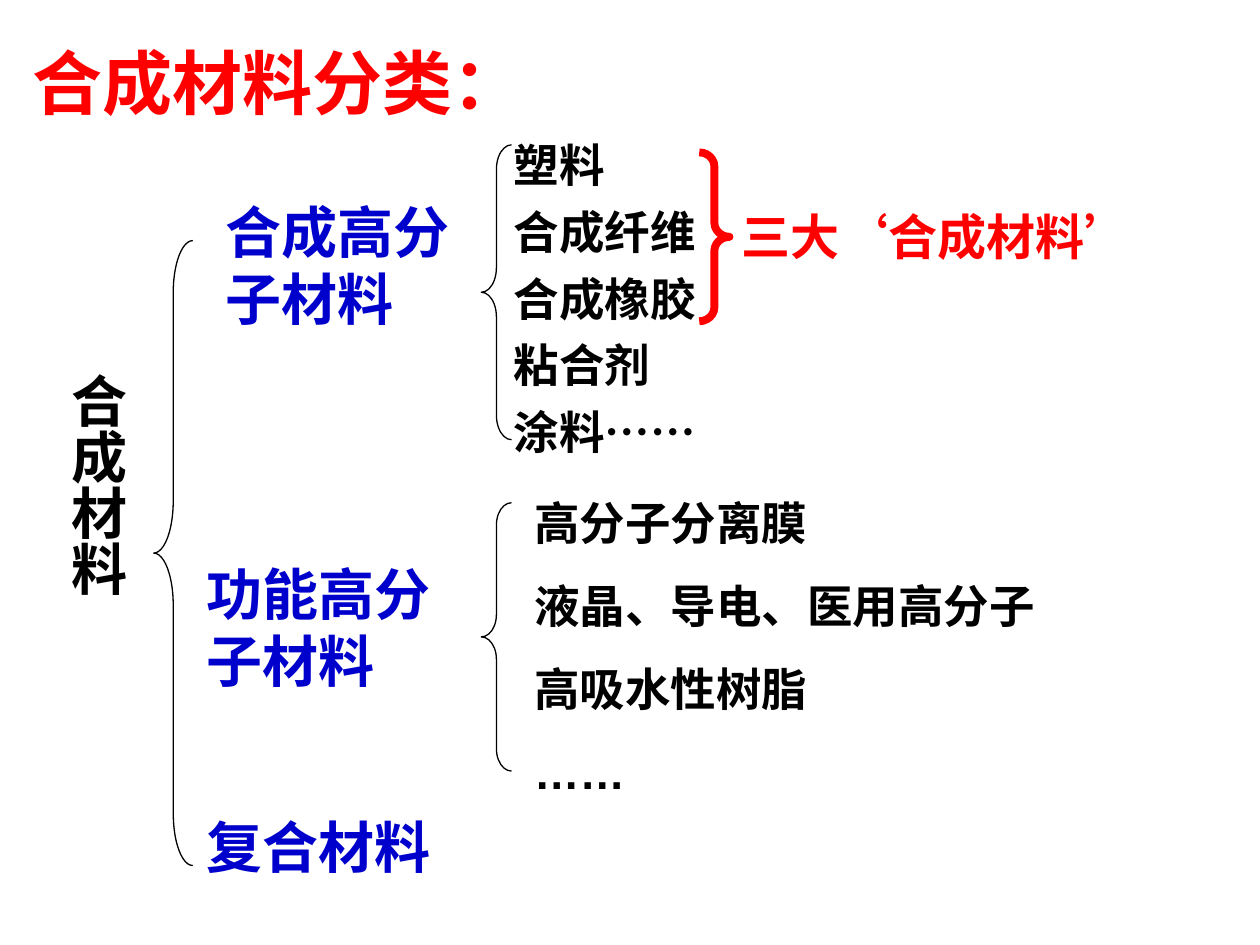
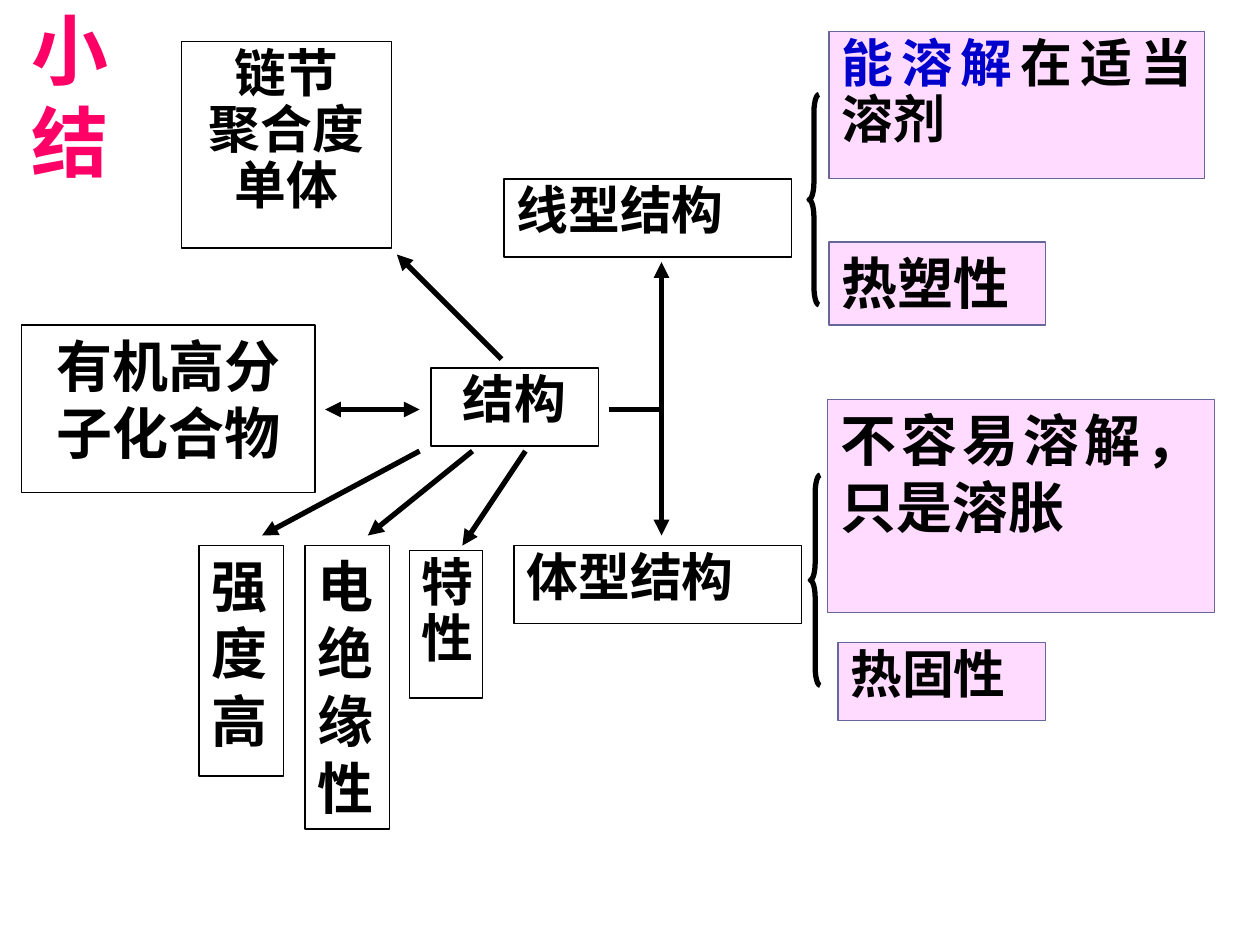
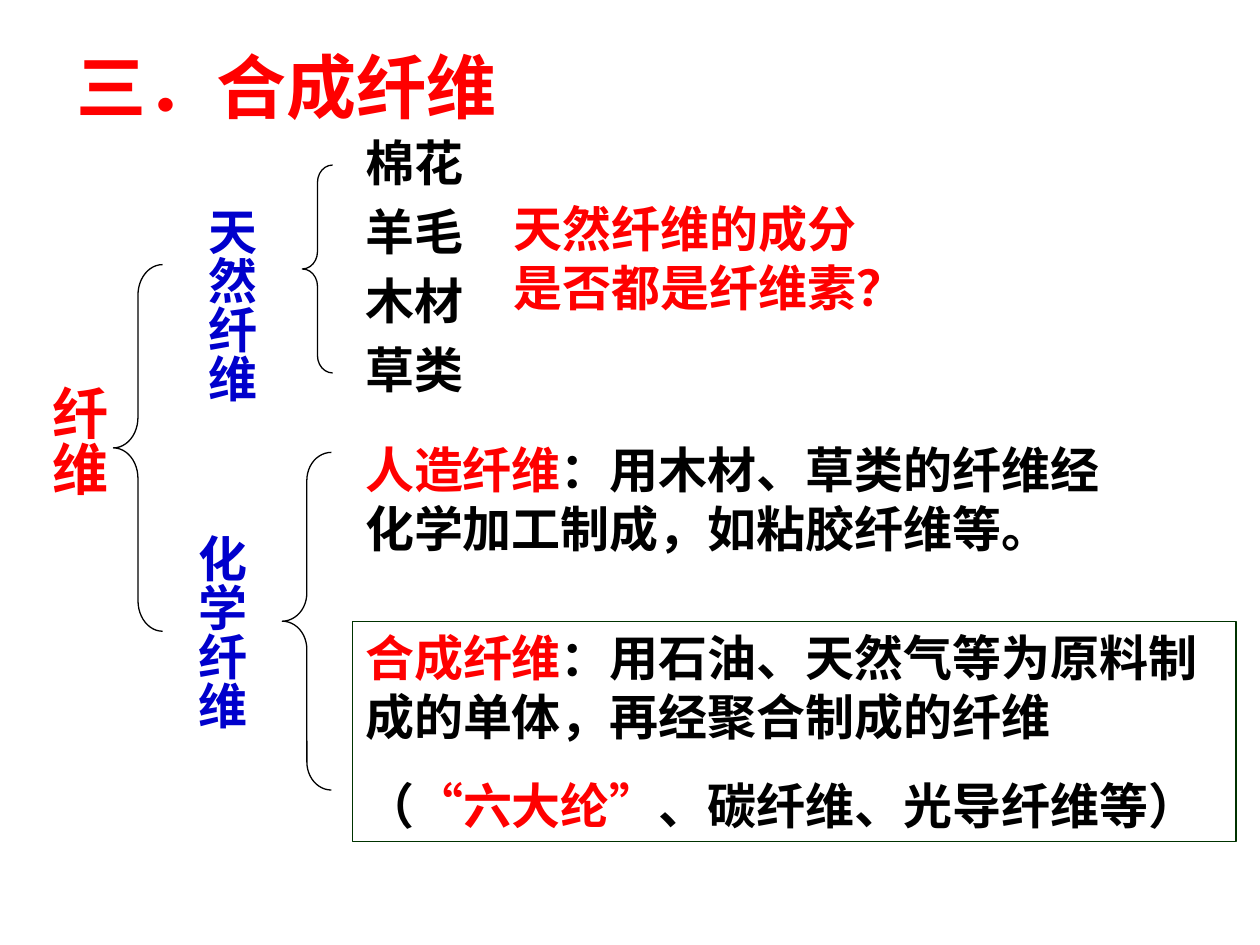
from lxml import etree
from pptx import Presentation
from pptx.dml.color import RGBColor
from pptx.enum import shapes, text
from pptx.oxml import ns
from pptx.util import Inches, Pt

COLORS = {
    "black": "000000", "red": "FF0000", "blue": "0000CC", "rose": "FF0066",
    "pink": "FFCCFF", "slate": "666699", "green": "003300",
}
CJK_FONT = "Noto Sans CJK SC"
ALIGN = {"left": text.PP_ALIGN.LEFT, "center": text.PP_ALIGN.CENTER,
         "justify": text.PP_ALIGN.JUSTIFY}
TITLE = dict(size=40, color="red", font="Montserrat", anchor=text.MSO_ANCHOR.BOTTOM,
             inset=(0.1, 0))


def add_text(slide, box, paragraphs, size=28, color="black", font="Arial", align="left",
             spacing=1.0, before=0, line=None, fill=None, vertical=False,
             anchor=text.MSO_ANCHOR.TOP, inset=(0.1, 0.05)):
    """Each paragraph is a string or a list of (text, color) runs."""
    box = [Inches(value) for value in box]
    if line:
        shape = slide.shapes.add_shape(shapes.MSO_SHAPE.RECTANGLE, *box)
        shape.shadow.inherit = False
        shape.line.color.rgb = RGBColor.from_string(COLORS[line])
        shape.line.width = Pt(0.75)
        shape.fill.background()
    else:
        shape = slide.shapes.add_textbox(*box)
    if fill:
        shape.fill.solid()
        shape.fill.fore_color.rgb = RGBColor.from_string(COLORS[fill])
        fill_color = shape.fill._xPr.find(".//" + ns.qn("a:srgbClr"))
        etree.SubElement(fill_color, ns.qn("a:alpha"), val="67000")
    frame = shape.text_frame
    frame.word_wrap = True
    frame.vertical_anchor = anchor
    if vertical:
        frame._txBody.bodyPr.set("vert", "eaVert")
        inset, align = (0.05, 0.1), "center"
    frame.margin_left = frame.margin_right = Inches(inset[0])
    frame.margin_top = frame.margin_bottom = Inches(inset[1])
    for index, content in enumerate(paragraphs):
        paragraph = frame.add_paragraph() if index else frame.paragraphs[0]
        paragraph.alignment = ALIGN[align]
        paragraph.line_spacing = spacing
        if index and before:
            paragraph.space_before = Pt(before)
        runs = [(content, color)] if isinstance(content, str) else content
        for words, run_color in runs:
            run = paragraph.add_run()
            run.text = words
            run.font.size = Pt(size)
            run.font.bold = True
            run.font.name = font
            run.font.color.rgb = RGBColor.from_string(COLORS[run_color])
            etree.SubElement(run.font._element, ns.qn("a:ea"), typeface=CJK_FONT)


def add_brace(slide, left, top, width, height, color="black", weight=0.75,
              kind=shapes.MSO_SHAPE.LEFT_BRACE):
    shape = slide.shapes.add_shape(kind, Inches(left), Inches(top),
                                   Inches(width), Inches(height))
    shape.shadow.inherit = False
    shape.fill.background()
    shape.line.color.rgb = RGBColor.from_string(COLORS[color])
    shape.line.width = Pt(weight)
    shape.adjustments[0] = height / width / 12  # curves span a twelfth of the height


presentation = Presentation()
presentation.slide_width = Inches(10)
presentation.slide_height = Inches(7.5)
blank = presentation.slide_layouts[6]

# Slide 1: classes of synthetic materials
slide = presentation.slides.add_slide(blank)
add_text(slide, (0.16, 0.21, 4.69, 0.77), ["合成材料分类："], **TITLE)
add_text(slide, (0.36, 2.86, 0.73, 2.68), ["合成材料"], size=32, vertical=True)
for left, top, width, height, label in [
    (1.69, 1.52, 2.05, 1.17, "合成高分子材料"),
    (1.54, 4.39, 2.11, 1.17, "功能高分子材料"),
    (1.54, 6.4, 2.11, 0.64, "复合材料"),
]:
    add_text(slide, (left, top, width, height), [label], size=32, color="blue")
for brace in [(1.22, 1.91, 0.31, 4.96), (3.82, 1.15, 0.24, 2.34), (3.82, 3.99, 0.24, 2.13)]:
    add_brace(slide, *brace)
add_text(slide, (3.98, 1.16, 3.54, 2.52),
         ["塑料", "合成纤维", "合成橡胶", "粘合剂", "涂料……"],
         size=26, spacing=0.7, before=16.2)
add_text(slide, (4.14, 3.88, 5.43, 2.51),
         ["高分子分离膜", "液晶、导电、医用高分子", "高吸水性树脂", "……"],
         size=26, before=16.2)
add_brace(slide, 5.55, 1.21, 0.24, 1.34, color="red", weight=4.5,
          kind=shapes.MSO_SHAPE.RIGHT_BRACE)
add_text(slide, (5.79, 1.59, 3.86, 0.57), ["三大‘合成材料’"], color="red")

# Slide 2: summary map
slide = presentation.slides.add_slide(blank)
large = dict(size=32, font=CJK_FONT)
compact = dict(size=29.6, font=CJK_FONT, spacing=0.9)
plain = dict(line="black")
tinted = dict(line="slate", fill="pink")
for box, content, style, frame_style, align in [
    ((0.17, 2.58, 2.33, 1.33), ["有机高分子化合物"], large, plain, "center"),
    ((1.44, 0.33, 1.67, 1.64), ["链节", "聚合度", "单体"], compact, plain, "center"),
    ((3.42, 2.92, 1.33, 0.62), ["结构"], compact, plain, "center"),
    ((4, 1.42, 2.28, 0.62), ["线型结构"], compact, plain, "justify"),
    ((4.08, 4.33, 2.28, 0.62), ["体型结构"], compact, plain, "justify"),
    ((1.58, 4.33, 0.67, 1.83), ["强度高"], large, plain, "justify"),
    ((2.42, 4.33, 0.67, 2.25), ["电绝缘性"], large, plain, "justify"),
    ((3.25, 4.37, 0.58, 1.17), ["特性"], compact, plain, "justify"),
    ((6.58, 0.25, 2.98, 1.17), [[("能溶解", "blue"), ("在适当溶剂", "black")]],
     compact, tinted, "justify"),
    ((6.58, 1.92, 1.72, 0.66), ["热塑性"], large, tinted, "justify"),
    ((6.57, 3.17, 3.07, 1.69), ["不容易溶解，只是溶胀"], large, tinted, "justify"),
    ((6.65, 5.1, 1.65, 0.62), ["热固性"], compact, tinted, "justify"),
]:
    add_text(slide, box, content, align=align, **style, **frame_style)

# Links between the boxes, with the ends that carry an arrowhead
for start_x, start_y, end_x, end_y, ends in [
    (2.58, 3.25, 3.33, 3.25, ["headEnd", "tailEnd"]),
    (3.15, 2.02, 3.98, 2.85, ["headEnd"]),
    (4.83, 3.25, 5.25, 3.25, []),
    (5.25, 2.08, 5.25, 4.25, ["headEnd", "tailEnd"]),
    (3.33, 3.58, 2.08, 4.25, ["tailEnd"]),
    (3.75, 3.58, 2.92, 4.25, ["tailEnd"]),
    (4.17, 3.58, 3.67, 4.33, ["tailEnd"]),
]:
    connector = slide.shapes.add_connector(
        shapes.MSO_CONNECTOR.STRAIGHT, Inches(start_x), Inches(start_y),
        Inches(end_x), Inches(end_y))
    connector.line.color.rgb = RGBColor.from_string(COLORS["black"])
    connector.line.width = Pt(3)
    for end in ends:
        etree.SubElement(connector.line._ln, ns.qn("a:" + end), type="triangle")
    etree.SubElement(connector._element.spPr, ns.qn("a:effectLst"))

for left, top in [(6.42, 0.75), (6.43, 3.77)]:
    add_brace(slide, left, top, 0.08, 1.67, weight=3)
add_text(slide, (0.15, -0.03, 0.75, 1.57), ["小结"], size=44, color="rose")

# Slide 3: synthetic fibres
slide = presentation.slides.add_slide(blank)
add_text(slide, (0.51, 0.24, 9, 0.77), ["三．合成纤维"], **TITLE)
add_text(slide, (0.21, 2.96, 0.73, 2.44), ["纤维"], size=32, color="red", vertical=True)
add_text(slide, (1.46, 1.55, 0.66, 1.97), ["天然纤维"], color="blue", vertical=True)
add_text(slide, (1.38, 4.14, 0.66, 2.13), ["化学纤维"], color="blue", vertical=True)
for brace in [(0.9, 2.1, 0.39, 2.91), (2.4, 1.31, 0.24, 1.65), (2.24, 3.59, 0.39, 2.68)]:
    add_brace(slide, *brace)
add_text(slide, (2.8, 1.15, 1.81, 2.05), ["棉花", "羊毛", "木材", "草类"],
         spacing=0.65, before=17.5)
add_text(slide, (3.98, 1.53, 3.15, 1.04), ["天然纤维的成分是否都是纤维素？"], color="red")
add_text(slide, (2.8, 3.44, 6.14, 1.04),
         [[("人造纤维", "red"), ("：用木材、草类的纤维经化学加工制成，如粘胶纤维等。", "black")]])
add_text(slide, (2.8, 4.93, 7.01, 1.75), [
    [("合成纤维", "red"),
     ("：用石油、天然气等为原料制成的单体，再经聚合制成的纤维", "black")],
    [("（", "black"), ("“六大纶”", "red"), ("、碳纤维、光导纤维等）", "black")],
], before=17.5, line="green")

presentation.save("out.pptx")
